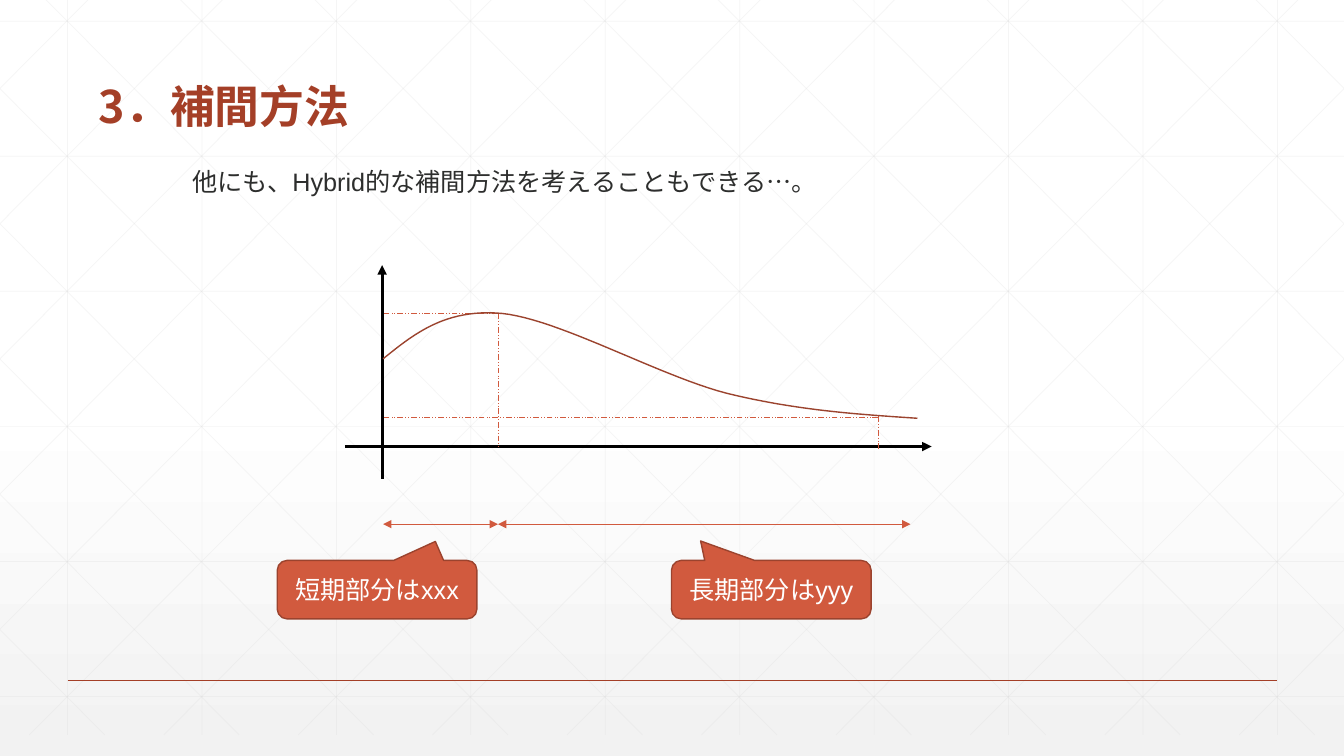
from lxml import etree
from pptx import Presentation
from pptx.dml.color import RGBColor
from pptx.enum import dml, shapes, text
from pptx.oxml.ns import qn
from pptx.util import Inches, Pt

TITLE = "3．補間方法"
INTRO = "他にも、Hybrid的な補間方法を考えることもできる…。"
CALLOUTS = [
    ("短期部分はxxx", 2.75, (0.292, -0.825, 0.167)),
    ("長期部分はyyy", 6.66, (-0.354, -0.833, 0.167)),
]
AXES = [((3.79, 4.75), (3.79, 2.63)), ((3.42, 4.43), (9.24, 4.43))]
GUIDES = [
    ((4.94, 3.11), (4.94, 4.43)),
    ((4.94, 3.11), (3.79, 3.11)),
    ((8.71, 4.13), (8.71, 4.45)),
    ((8.71, 4.14), (3.8, 4.14)),
]
RANGES = [((3.8, 5.2), (4.94, 5.2)), ((4.94, 5.2), (9.03, 5.2))]
CURVE = [
    ((3.8, 3.56), (4.11, 3.31), (4.42, 3.06), (4.98, 3.11)),
    ((4.98, 3.11), (5.55, 3.17), (6.52, 3.72), (7.2, 3.9)),
    ((7.2, 3.9), (7.89, 4.07), (8.49, 4.11), (9.1, 4.15)),
]
THEME = {
    "title": "A43F27", "ink": "2D2E2D", "axis": "000000", "accent": "D15A3E",
    "curve": "9B432E", "white": "FFFFFF", "shade": "F2F2F2", "grid": "D9D9D9",
    "title_size": 32, "body_size": 18,
    "latin": "Arial", "cjk": "Noto Sans CJK JP",
}
WIDTH, HEIGHT = 13.33, 7.5
GRID_TOP, GRID_BOTTOM = -0.21, 7.29
GRID_STEP, ROW_STEP = 4 / 3, 1.34
DIAGONAL_RUN = 7.455


def color(name):
    return RGBColor.from_string(THEME[name])


def add_line(slide, start, end, name, width, arrows=(), dash=None, alpha=None):
    points = [Inches(v) for v in (*start, *end)]
    line = slide.shapes.add_connector(shapes.MSO_CONNECTOR.STRAIGHT, *points)
    line.line.color.rgb = color(name)
    line.line.width = Pt(width)
    if dash:
        line.line.dash_style = dash
    ln = line.line._get_or_add_ln()
    if alpha:
        rgb = ln.find(".//" + qn("a:srgbClr"))
        etree.SubElement(rgb, qn("a:alpha"), val=str(alpha * 1000))
    for end_tag in arrows:
        etree.SubElement(ln, qn("a:" + end_tag), type="triangle")
    etree.SubElement(line._element.spPr, qn("a:effectLst"))


def add_run(p, words, name, size, latin, bold=False):
    r = p.add_run()
    r.text = words
    r.font.size = Pt(size)
    r.font.bold = bold
    r.font.color.rgb = color(name)
    r.font.name = latin
    etree.SubElement(r._r.get_or_add_rPr(), qn("a:ea"), typeface=THEME["cjk"])


def diagonal(top_x):
    slope = (GRID_BOTTOM - GRID_TOP) / DIAGONAL_RUN
    xs = max(top_x, 0), min(top_x + DIAGONAL_RUN, WIDTH)
    return [(x, GRID_TOP + (x - top_x) * slope) for x in xs]


def add_grid(slide):
    lines = []
    for i in range(10):
        x = 0.67 + i * GRID_STEP
        lines.append([(x, GRID_TOP), (x, GRID_BOTTOM)])
    for i in range(6):
        y = 0.21 + i * ROW_STEP
        lines.append([(0, y), (WIDTH, y)])
    for i in range(-5, 10):
        falling = diagonal(0.25 + i * GRID_STEP)
        lines += [falling, [(WIDTH - x, y) for x, y in falling]]
    for start, end in lines:
        add_line(slide, start, end, "grid", 0.5, alpha=25)
    add_line(slide, (0.67, 6.75), (12.67, 6.75), "title", 1)


def add_heading(slide):
    title = slide.shapes.title
    slide.shapes._spTree.append(title._element)
    title.left, title.top = Inches(0.88), Inches(0.12)
    title.width, title.height = Inches(10.5), Inches(1.25)
    tf = title.text_frame
    tf.auto_size = text.MSO_AUTO_SIZE.NONE
    tf.vertical_anchor = text.MSO_ANCHOR.BOTTOM
    p = tf.paragraphs[0]
    p.alignment = text.PP_ALIGN.LEFT
    p.line_spacing = 0.9
    add_run(p, TITLE, "title", THEME["title_size"], THEME["cjk"], True)

    intro = slide.shapes.add_textbox(Inches(1.81), Inches(1.6), Inches(8.64), Inches(0.4))
    intro.text_frame.word_wrap = True
    add_run(intro.text_frame.paragraphs[0], INTRO, "ink", THEME["body_size"], THEME["latin"])


def bezier(points, t):
    weights = ((1 - t) ** 3, 3 * t * (1 - t) ** 2, 3 * t * t * (1 - t), t ** 3)
    return tuple(Inches(sum(w * p[axis] for w, p in zip(weights, points))) for axis in (0, 1))


def add_curve(slide, steps=24):
    points = [bezier(segment, i / steps) for segment in CURVE for i in range(1, steps + 1)]
    builder = slide.shapes.build_freeform(*bezier(CURVE[0], 0))
    builder.add_line_segments(points, close=False)
    curve = builder.convert_to_shape()
    curve.fill.background()
    curve.line.color.rgb = color("curve")
    curve.line.width = Pt(1)
    curve.shadow.inherit = False


def add_callout(slide, words, left, adjustments):
    sp = slide.shapes.add_shape(
        shapes.MSO_SHAPE.ROUNDED_RECTANGULAR_CALLOUT,
        Inches(left), Inches(5.56), Inches(1.98), Inches(0.58))
    for i, value in enumerate(adjustments):
        sp.adjustments[i] = value
    sp.shadow.inherit = False
    sp.fill.solid()
    sp.fill.fore_color.rgb = color("accent")
    sp.line.color.rgb = color("curve")
    sp.line.width = Pt(1)
    tf = sp.text_frame
    tf.word_wrap = True
    tf.vertical_anchor = text.MSO_ANCHOR.MIDDLE
    p = tf.paragraphs[0]
    p.alignment = text.PP_ALIGN.CENTER
    add_run(p, words, "white", THEME["body_size"], THEME["latin"])


def main():
    prs = Presentation()
    prs.slide_width, prs.slide_height = Inches(WIDTH), Inches(HEIGHT)
    slide = prs.slides.add_slide(prs.slide_layouts[5])
    fill = slide.background.fill
    fill.gradient()
    fill.gradient_angle = 270
    for stop, name, position in zip(fill.gradient_stops, ("white", "shade"), (0.53, 1)):
        stop.color.rgb = color(name)
        stop.position = position

    add_grid(slide)
    add_heading(slide)
    for start, end in AXES:
        add_line(slide, start, end, "axis", 2.25, arrows=["tailEnd"])
    for start, end in GUIDES:
        add_line(slide, start, end, "accent", 0.5, dash=dml.MSO_LINE.DASH_DOT_DOT)
    add_curve(slide)
    for start, end in RANGES:
        add_line(slide, start, end, "accent", 0.5, arrows=["headEnd", "tailEnd"])
    for callout in CALLOUTS:
        add_callout(slide, *callout)
    prs.save("out.pptx")


if __name__ == "__main__":
    main()
